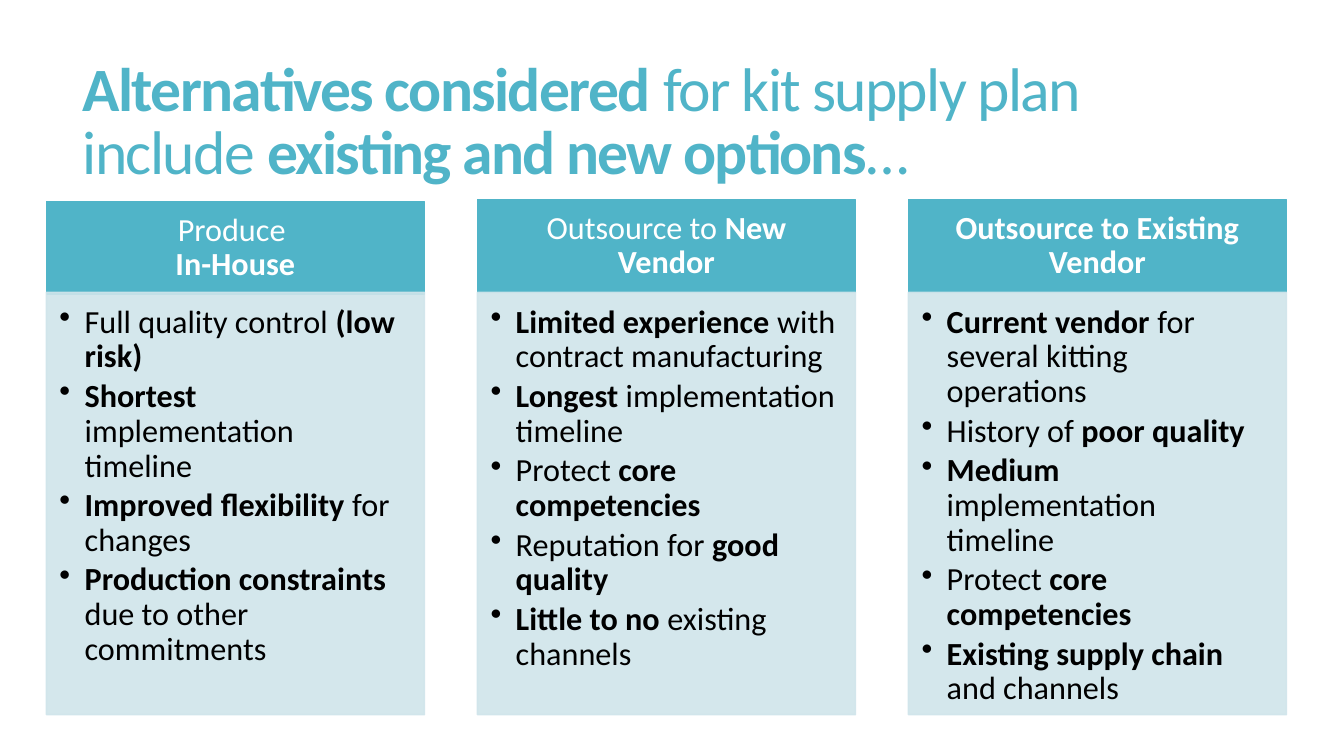
"""Build a slide that compares three kit supply alternatives."""
from dataclasses import dataclass

from lxml import etree
from pptx import Presentation
from pptx.dml.color import RGBColor
from pptx.enum import shapes, text
from pptx.oxml import ns
from pptx.util import Inches, Pt

TITLE = "*Alternatives considered *for kit supply plan include *existing and new options*…"
OPTIONS = [
    ("Produce \n*In-House*", 2.0, [
        "Full quality control *(low risk)*",
        "*Shortest* implementation timeline",
        "*Improved flexibility *for changes",
        "*Production constraints* due to other commitments",
    ]),
    ("Outsource to *New Vendor*", 1.98, [
        "*Limited experience *with contract manufacturing",
        "*Longest* implementation timeline",
        "Protect *core competencies*",
        "Reputation for *good quality*",
        "*Little to no *existing channels",
    ]),
    ("*Outsource to Existing Vendor*", 1.98, [
        "*Current vendor* for several kitting operations",
        "History of *poor quality*",
        "*Medium* implementation timeline",
        "Protect *core competencies*",
        "*Existing supply chain *and channels",
    ]),
]
LEFT, STEP, WIDTH = 0.46, 4.275, 3.75
HEADER_HEIGHT, BODY_TOP, BODY_HEIGHT = 0.92, 2.9, 4.19


@dataclass(frozen=True)
class Theme:
    """Colours and type sizes of the slide."""
    teal: RGBColor = RGBColor.from_string("50B4C8")
    pale: RGBColor = RGBColor.from_string("D0E5EB")
    white: RGBColor = RGBColor.from_string("FFFFFF")
    black: RGBColor = RGBColor.from_string("000000")
    font: str = "Calibri"
    title_size: int = 44
    text_size: int = 23


THEME = Theme()


def write(para, marked, size, color, align, leading):
    """Fill a paragraph; asterisks enclose bold words."""
    para.alignment, para.line_spacing = align, leading
    para.font.name, para.font.size = THEME.font, Pt(size)
    para.font.color.rgb = color
    for index, part in enumerate(marked.split("*")):
        for number, words in enumerate(part.split("\n")):
            if number:
                para.add_line_break()
            if words:
                span = para.add_run()
                span.text, span.font.bold = words, index % 2 == 1


def add_bullet(para):
    """Give a paragraph a hanging bullet."""
    properties = para._p.get_or_add_pPr()
    properties.set("marL", str(Inches(0.25)))
    properties.set("indent", str(-Inches(0.25)))
    bullet = etree.Element(ns.qn("a:buChar"), char="•")
    properties.find(ns.qn("a:defRPr")).addprevious(bullet)


def add_panel(page, left, top, height, color, insets):
    """Add a filled rectangle and return it."""
    box = page.shapes.add_shape(shapes.MSO_SHAPE.RECTANGLE, Inches(left),
                                Inches(top), Inches(WIDTH), Inches(height))
    box.shadow.inherit = False
    box.fill.solid()
    box.fill.fore_color.rgb = box.line.color.rgb = color
    box.line.width = Pt(1)
    frame = box.text_frame
    frame.word_wrap = True
    (frame.margin_left, frame.margin_top,
     frame.margin_right, frame.margin_bottom) = map(Inches, insets)
    return box


def add_option(page, left, heading, top, points):
    """Add one column: heading panel and bulleted panel."""
    header = add_panel(page, left, top, HEADER_HEIGHT, THEME.teal, (0.18, 0.1, 0.18, 0.1))
    header.text_frame.vertical_anchor = text.MSO_ANCHOR.MIDDLE
    write(header.text_frame.paragraphs[0], heading, THEME.text_size, THEME.white,
          text.PP_ALIGN.CENTER, 0.9)

    body = add_panel(page, left, BODY_TOP, BODY_HEIGHT, THEME.pale, (0.13, 0.13, 0.18, 0.2))
    for color in body._element.spPr.iter(ns.qn("a:srgbClr")):
        etree.SubElement(color, ns.qn("a:alpha"), val="90000")
    frame = body.text_frame
    frame.vertical_anchor = text.MSO_ANCHOR.TOP
    for index, point in enumerate(points):
        para = frame.add_paragraph() if index else frame.paragraphs[0]
        write(para, point, THEME.text_size, THEME.black, text.PP_ALIGN.LEFT, 0.9)
        para.space_after = Pt(3.4)
        add_bullet(para)


def add_title(page):
    """Place and format the title placeholder."""
    title = page.shapes.title
    title.left, title.top, title.width, title.height = map(Inches, (0.72, 0.55, 11.78, 1.36))
    frame = title.text_frame
    frame.word_wrap, frame.auto_size = True, text.MSO_AUTO_SIZE.NONE
    frame.vertical_anchor = text.MSO_ANCHOR.MIDDLE
    para = frame.paragraphs[0]
    write(para, TITLE, THEME.title_size, THEME.teal, text.PP_ALIGN.LEFT, 0.85)
    for span in para.runs:
        span.font._element.set("spc", "-120")


def main():
    """Build and save the deck."""
    deck = Presentation()
    deck.slide_width, deck.slide_height = Inches(13.33), Inches(7.5)
    page = deck.slides.add_slide(deck.slide_layouts[5])
    add_title(page)
    for column, option in enumerate(OPTIONS):
        add_option(page, LEFT + column * STEP, *option)
    deck.save("out.pptx")


if __name__ == "__main__":
    main()
